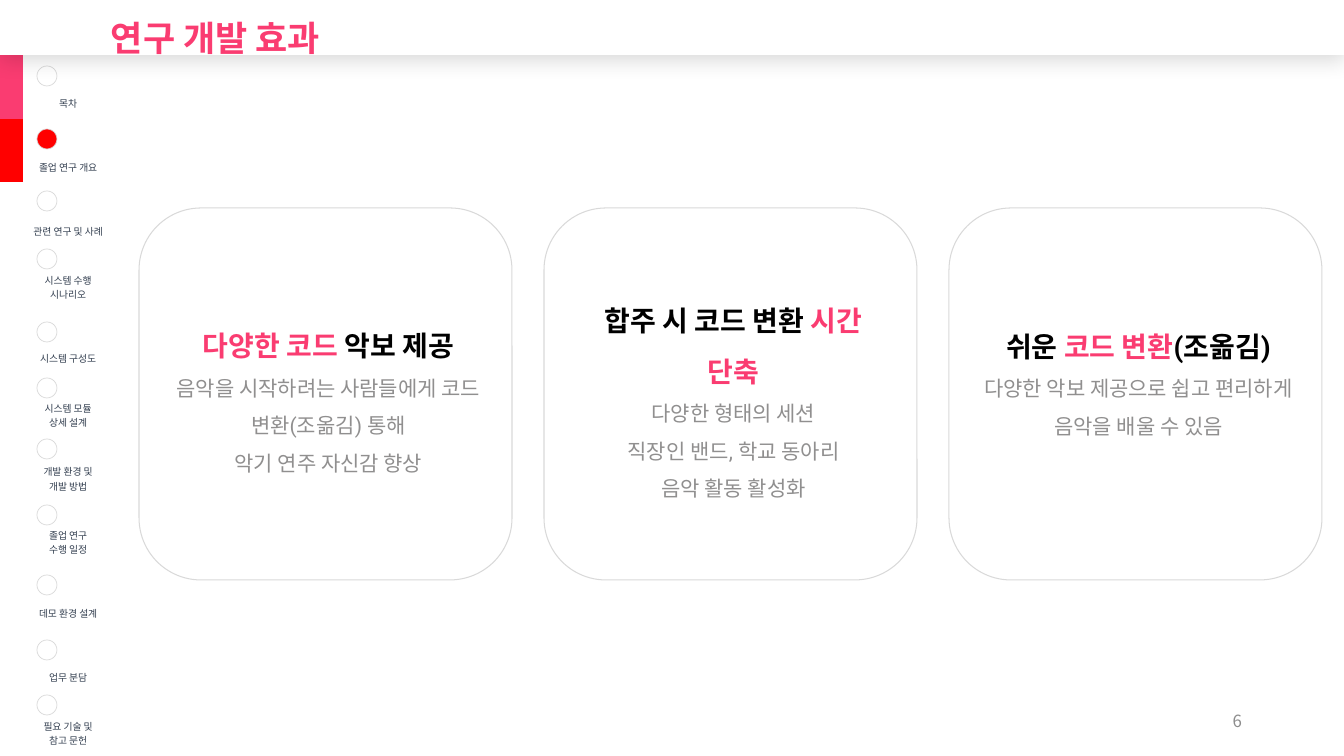
from lxml import etree
from pptx import Presentation
from pptx.dml.color import RGBColor
from pptx.enum.shapes import MSO_SHAPE as Shape
from pptx.enum.text import MSO_ANCHOR as Anchor, MSO_AUTO_SIZE as Auto, PP_ALIGN as Align
from pptx.oxml.ns import qn
from pptx.util import Pt

PINK = RGBColor(0xFA, 0x3C, 0x71)
RED = RGBColor(0xFF, 0x00, 0x00)
WHITE = RGBColor(0xFF, 0xFF, 0xFF)
BLACK = RGBColor(0x00, 0x00, 0x00)
GRAY = RGBColor(0x90, 0x8F, 0x8F)
PALE = RGBColor(0xD9, 0xD9, 0xD9)
SLATE = RGBColor(0x33, 0x3F, 0x50)
NUM = RGBColor(0x8C, 0x8C, 0x8C)
LATIN, HANGUL = "Roboto", "Noto Sans CJK KR"
PLAIN = "{2D5ABB26-0587-4C30-8999-92F81FD0307C}"  # table style without grid

# Content
TITLE = "연구 개발 효과"
PAGE = "6"
# Each card: headline runs, body lines, bottom inset
CARDS = [
    ([("다양한 코드 ", PINK), ("악보 제공", BLACK)],
     ["음악을 시작하려는 사람들에게 코드 변환(조옮김) 통해", "악기 연주 자신감 향상"], 5),
    ([("합주 시 코드 변환 ", BLACK), ("시간 단축", PINK)],
     ["다양한 형태의 세션", "직장인 밴드, 학교 동아리", "음악 활동 활성화"], 5),
    ([("쉬운 ", BLACK), ("코드 변환", PINK), ("(조옮김)", BLACK)],
     ["다양한 악보 제공으로 쉽고 편리하게 음악을 배울 수 있음"], 42),
]
# Each menu entry: label lines, top of its dot
MENU = [
    (["목차"], 66), (["졸업 연구 개요"], 129), (["관련 연구 및 사례"], 191),
    (["시스템 수행", "시나리오"], 249), (["시스템 구성도"], 322),
    (["시스템 모듈", "상세 설계"], 378), (["개발 환경 및", "개발 방법"], 439),
    (["졸업 연구", "수행 일정"], 505), (["데모 환경 설계"], 575),
    (["업무 분담"], 640), (["필요 기술 및", "참고 문헌"], 695),
]
MARKS = {0: PINK, 1: RED}
NOW = 1


def px(n):
    return round(n * 914400 / 100.8)


def box(*nums):
    return [px(n) for n in nums]


def add_run(para, text, size, color, bold=False, face=LATIN):
    run = para.add_run()
    run.text = text
    font = run.font
    font.size, font.bold, font.name = Pt(size), bold, face
    font.color.rgb = color
    latin = run._r.rPr.find(qn("a:latin"))
    east = etree.Element(qn("a:ea"), typeface=HANGUL)
    latin.addnext(east)


def next_para(frame, first):
    return frame.paragraphs[0] if first else frame.add_paragraph()


def inset(frame, left, top, right, bottom):
    frame.margin_left, frame.margin_top = px(left), px(top)
    frame.margin_right, frame.margin_bottom = px(right), px(bottom)


def add_form(kind, area, fill, width=0):
    form = slide.shapes.add_shape(kind, *box(*area))
    form.shadow.inherit = False
    form.fill.solid()
    form.fill.fore_color.rgb = fill
    if width:
        form.line.color.rgb = PALE
        form.line.width = Pt(width)
    else:
        form.line.fill.background()
    return form


deck = Presentation()
deck.slide_width, deck.slide_height = box(1344, 756)
slide = deck.slides.add_slide(deck.slide_layouts[5])

# Page number
page = slide.shapes.add_textbox(*box(950, 701, 302, 40)).text_frame
page.word_wrap = True
page.vertical_anchor = Anchor.MIDDLE
page.paragraphs[0].alignment = Align.RIGHT
add_run(page.paragraphs[0], PAGE, 12, NUM, face=HANGUL)

# Cards
for i, (head, body, base) in enumerate(CARDS):
    card = add_form(Shape.ROUNDED_RECTANGLE, (139 + 405 * i, 208, 373, 372), WHITE, 0.75)
    frame = card.text_frame
    frame.word_wrap = True
    frame.vertical_anchor = Anchor.MIDDLE
    inset(frame, 16, 5, 10, base)
    lines = [[(text, 20, color, True) for text, color in head]]
    lines += [[(text, 15, GRAY, False)] for text in body]
    for j, runs in enumerate(lines):
        para = next_para(frame, j == 0)
        para.alignment = Align.CENTER
        para.line_spacing = 1.5
        for run in runs:
            add_run(para, *run)

# Side menu
grid = slide.shapes.add_table(len(MENU), 2, *box(-1, 55, 95, 701)).table
grid.first_row = grid.horz_banding = False
grid._tbl.tblPr.find(qn("a:tableStyleId")).text = PLAIN
grid.columns[0].width, grid.columns[1].width = box(5, 90)
for i, (label, _) in enumerate(MENU):
    grid.rows[i].height = px(701 / len(MENU))
    mark, cell = grid.cell(i, 0), grid.cell(i, 1)
    for part, fill in ((mark, MARKS.get(i, WHITE)), (cell, WHITE)):
        part.fill.solid()
        part.fill.fore_color.rgb = fill
    inset(cell, 0, 0, 0, 8)
    cell.vertical_anchor = Anchor.BOTTOM
    for j, text in enumerate(label):
        para = next_para(cell.text_frame, j == 0)
        para.alignment = Align.CENTER
        add_run(para, text, 7, SLATE)

# Menu dots
for i, (_, top) in enumerate(MENU):
    add_form(Shape.OVAL, (37, top, 20, 20), RED if i == NOW else WHITE, 0.5)

# Top bar with a soft shadow
bar = add_form(Shape.RECTANGLE, (0, 0, 1344, 55), WHITE)
glow = etree.SubElement(bar._element.spPr.find(qn("a:effectLst")), qn("a:outerShdw"),
                        blurRad=str(Pt(15)), dist=str(Pt(3)), dir="5400000",
                        algn="t", rotWithShape="0")
tint = etree.SubElement(glow, qn("a:srgbClr"), val="000000")
etree.SubElement(tint, qn("a:alpha"), val="15000")

# Title, in front of the bar
title = slide.shapes.title
title.left, title.top, title.width, title.height = box(101, 0, 1243, 55)
slide.shapes._spTree.append(title._element)
frame = title.text_frame
frame.auto_size = Auto.NONE
frame.word_wrap = True
frame.vertical_anchor = Anchor.MIDDLE
inset(frame, 10, 5, 10, 5)
para = frame.paragraphs[0]
para.alignment = Align.LEFT
para.line_spacing = 1.5
add_run(para, TITLE, 25, PINK, True)

deck.save("out.pptx")
